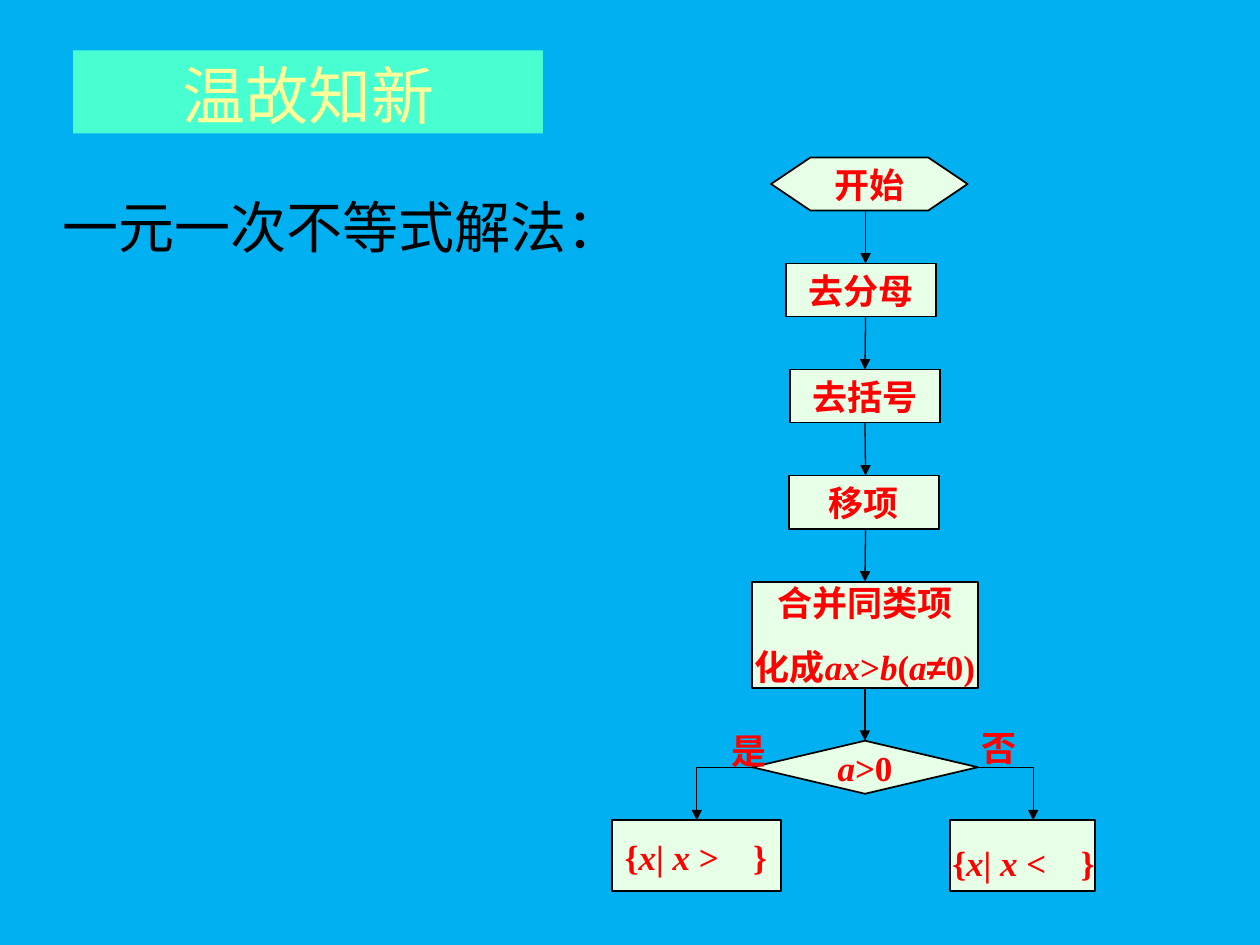
from typing import NamedTuple, Optional

from lxml import etree
from pptx import Presentation
from pptx import util as u
from pptx.dml.color import RGBColor
from pptx.enum import shapes, text
from pptx.oxml.ns import qn

SKY = RGBColor(0x00, 0xB0, 0xF0)
MINT = RGBColor(0xE7, 0xFF, 0xE7)
TURQUOISE = RGBColor(0x47, 0xFF, 0xD1)
CREAM = RGBColor(0xFF, 0xFF, 0x99)
RED = RGBColor(0xFF, 0x00, 0x00)
BLACK = RGBColor(0x00, 0x00, 0x00)

SERIF = "Times New Roman"
SANS = "Noto Sans CJK SC"
TOP = 1.25
UNIT = (6.51 - TOP) / 12.5  # height of a step and of the gap below it
AXIS = 6.87
BRACE_TAB = 1.02
TOP_SIDE, LEFT_SIDE, BOTTOM_SIDE, RIGHT_SIDE = range(4)

PREPARATION = shapes.MSO_SHAPE.FLOWCHART_PREPARATION
PROCESS = shapes.MSO_SHAPE.FLOWCHART_PROCESS
DECISION = shapes.MSO_SHAPE.FLOWCHART_DECISION


class Run(NamedTuple):
    text: str
    italic: bool = False
    font: Optional[str] = None


class Style(NamedTuple):
    size: float
    color: RGBColor
    font: str = SERIF
    bold: bool = False


class Step(NamedTuple):
    kind: int
    left: float
    row: float
    width: float
    height: float
    lines: list


class Label(NamedTuple):
    left: float
    top: float
    width: float
    height: float
    runs: list
    style: Style
    wrap: bool = True
    tab: Optional[float] = None


class Line(NamedTuple):
    start: tuple
    end: tuple
    arrow: bool = True
    source: Optional[tuple] = None  # (step name, side)
    target: Optional[tuple] = None


FLOW = Style(20, RED, bold=True)

STEPS = {
    "start": Step(PREPARATION, 6.12, 0, 1.56, UNIT, [[Run("开始")]]),
    "denominators": Step(PROCESS, 6.24, 2, 1.19, UNIT, [[Run("去分母")]]),
    "brackets": Step(PROCESS, 6.27, 4, 1.19, UNIT, [[Run("去括号")]]),
    "transpose": Step(PROCESS, 6.26, 6, 1.19, UNIT, [[Run("移项")]]),
    "combine": Step(PROCESS, 5.97, 8, 1.79, 2 * UNIT, [
        [Run("合并同类项")],
        [Run("化成"), Run("ax", True), Run(">"), Run("b", True), Run("("),
         Run("a", True), Run("≠", font="Arial"), Run("0)")]]),
    "decision": Step(DECISION, 5.97, 11, 1.79, UNIT,
                     [[Run("a", True), Run(">0")]]),
    "yes": Step(PROCESS, 4.86, 12.5, 1.34, 0.56, []),
    "no": Step(PROCESS, 7.54, 12.5, 1.15, 0.56, []),
}


def row_top(row: float) -> float:
    return TOP + row * UNIT


def down(row: float, x: float = AXIS, source=None, target=None) -> Line:
    return Line((x, row_top(row)), (x, row_top(row + 1)), True, source, target)


LINES = [
    down(1),
    down(3, target=("brackets", TOP_SIDE)),
    down(5, source=("brackets", BOTTOM_SIDE)),
    down(7, target=("combine", TOP_SIDE)),
    down(10, source=("combine", BOTTOM_SIDE), target=("decision", TOP_SIDE)),
    Line((5.53, row_top(11.5)), (5.97, row_top(11.5)), False,
         target=("decision", LEFT_SIDE)),
    down(11.5, 5.53, target=("yes", TOP_SIDE)),
    Line((7.76, row_top(11.5)), (8.2, row_top(11.5)), False,
         source=("decision", RIGHT_SIDE)),
    down(11.5, 8.2),
]


def solution(sign: str) -> list:
    return [Run("{"), Run("x", True), Run("| "), Run("x ", True),
            Run(sign + "\t}")]


LABELS = [
    Label(5.71, 5.74, 0.48, 0.44, [Run("是")], FLOW, wrap=False),
    Label(7.69, 5.72, 0.48, 0.44, [Run("否")], FLOW, wrap=False),
    Label(4.86, 6.58, 1.64, 0.44, solution(">"), FLOW, tab=BRACE_TAB),
    Label(7.46, 6.63, 1.64, 0.44, solution("<"), FLOW, tab=BRACE_TAB),
    Label(0.4, 1.48, 4.77, 0.64, [Run("一元一次不等式解法：")],
          Style(32, BLACK)),
]


def write(paragraph, runs: list, style: Style, tab: Optional[float] = None) -> None:
    if tab is not None:
        tabs = etree.SubElement(paragraph._p.get_or_add_pPr(), qn("a:tabLst"))
        etree.SubElement(tabs, qn("a:tab"), pos=str(u.Inches(tab)), algn="l")
    font = paragraph.font
    font.size, font.bold, font.name = u.Pt(style.size), style.bold, style.font
    font.color.rgb = style.color
    for part in runs:
        run = paragraph.add_run()
        run.text = part.text
        if part.italic:
            run.font.italic = True
        if part.font:
            run.font.name = part.font


def add_box(slide, kind: int, left: float, top: float, width: float,
            height: float, fill: RGBColor):
    shape = slide.shapes.add_shape(kind, u.Inches(left), u.Inches(top),
                                   u.Inches(width), u.Inches(height))
    shape.shadow.inherit = False
    shape.fill.solid()
    shape.fill.fore_color.rgb = fill
    return shape


def add_step(slide, step: Step):
    shape = add_box(slide, step.kind, step.left, row_top(step.row),
                    step.width, step.height, MINT)
    shape.line.color.rgb = BLACK
    shape.line.width = u.Pt(1)
    frame = shape.text_frame
    frame.word_wrap = False
    frame.vertical_anchor = text.MSO_ANCHOR.MIDDLE
    for index, runs in enumerate(step.lines):
        paragraph = frame.add_paragraph() if index else frame.paragraphs[0]
        paragraph.alignment = text.PP_ALIGN.CENTER
        if index:
            paragraph.space_before = u.Pt(12.5)
        write(paragraph, runs, FLOW)
    return shape


def add_line(slide, line: Line, boxes: dict) -> None:
    ends = [u.Inches(value) for value in line.start + line.end]
    connector = slide.shapes.add_connector(shapes.MSO_CONNECTOR.STRAIGHT, *ends)
    if line.source:
        connector.begin_connect(boxes[line.source[0]], line.source[1])
    if line.target:
        connector.end_connect(boxes[line.target[0]], line.target[1])
    connector.line.color.rgb = BLACK
    connector.line.width = u.Pt(0.75)
    if line.arrow:
        etree.SubElement(connector.line._get_or_add_ln(), qn("a:tailEnd"),
                         type="triangle")
    etree.SubElement(connector._element.spPr, qn("a:effectLst"))


def add_label(slide, label: Label) -> None:
    box = slide.shapes.add_textbox(u.Inches(label.left), u.Inches(label.top),
                                   u.Inches(label.width), u.Inches(label.height))
    frame = box.text_frame
    frame.word_wrap = label.wrap
    frame.auto_size = text.MSO_AUTO_SIZE.SHAPE_TO_FIT_TEXT
    write(frame.paragraphs[0], label.runs, label.style, label.tab)


def main() -> None:
    presentation = Presentation()
    presentation.slide_width = u.Inches(10)
    presentation.slide_height = u.Inches(7.5)
    slide = presentation.slides.add_slide(presentation.slide_layouts[6])
    slide.background.fill.solid()
    slide.background.fill.fore_color.rgb = SKY

    # Flow chart and its labels
    boxes = {name: add_step(slide, step) for name, step in STEPS.items()}
    for line in LINES:
        add_line(slide, line, boxes)
    for label in LABELS:
        add_label(slide, label)

    # Title banner
    banner = add_box(slide, shapes.MSO_SHAPE.RECTANGLE, 0.58, 0.4, 3.73, 0.66,
                     TURQUOISE)
    banner.line.fill.background()
    banner.text_frame.vertical_anchor = text.MSO_ANCHOR.TOP
    title = banner.text_frame.paragraphs[0]
    title.alignment = text.PP_ALIGN.CENTER
    write(title, [Run("温故知新")], Style(36, CREAM, SANS))

    presentation.save("out.pptx")


if __name__ == "__main__":
    main()
